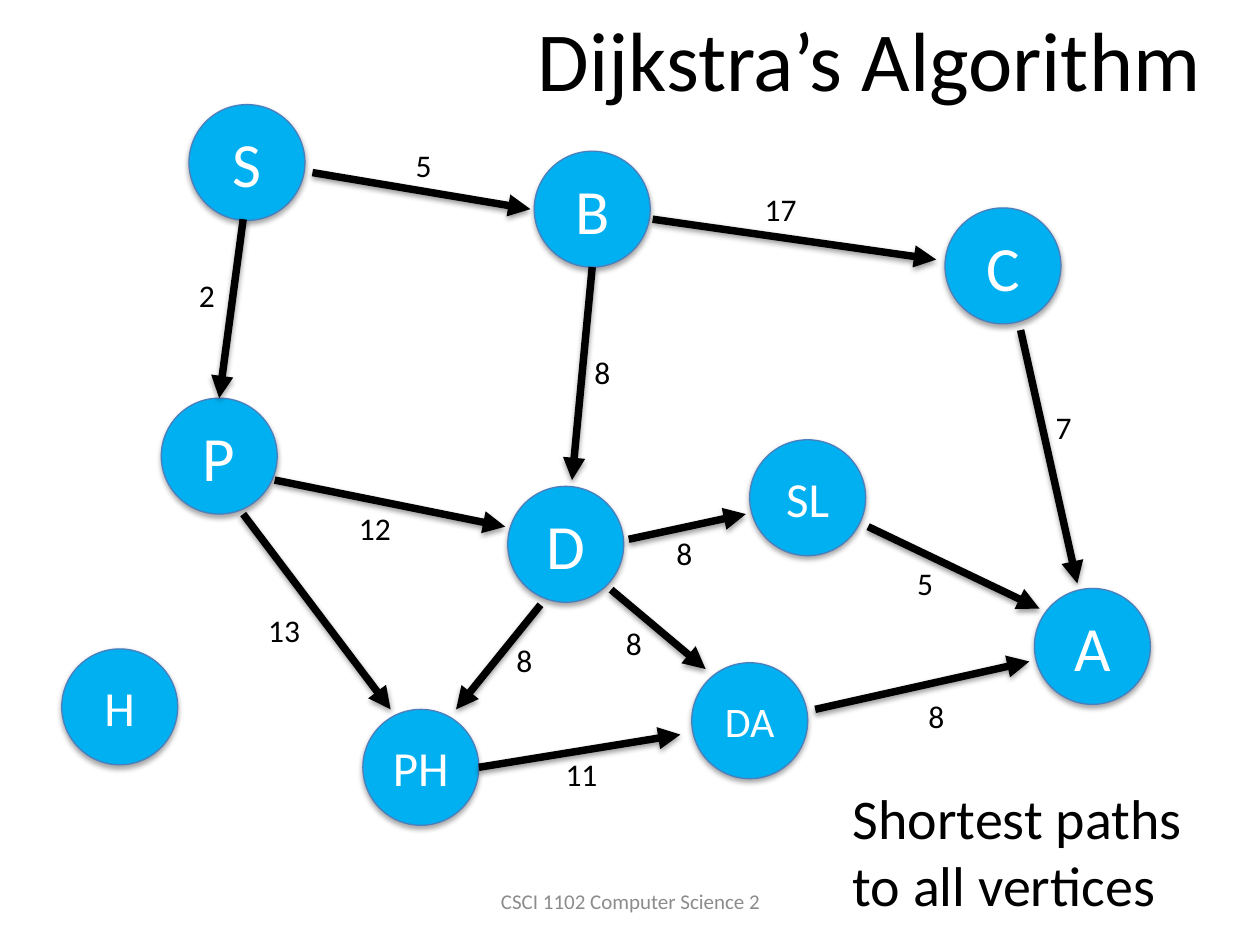
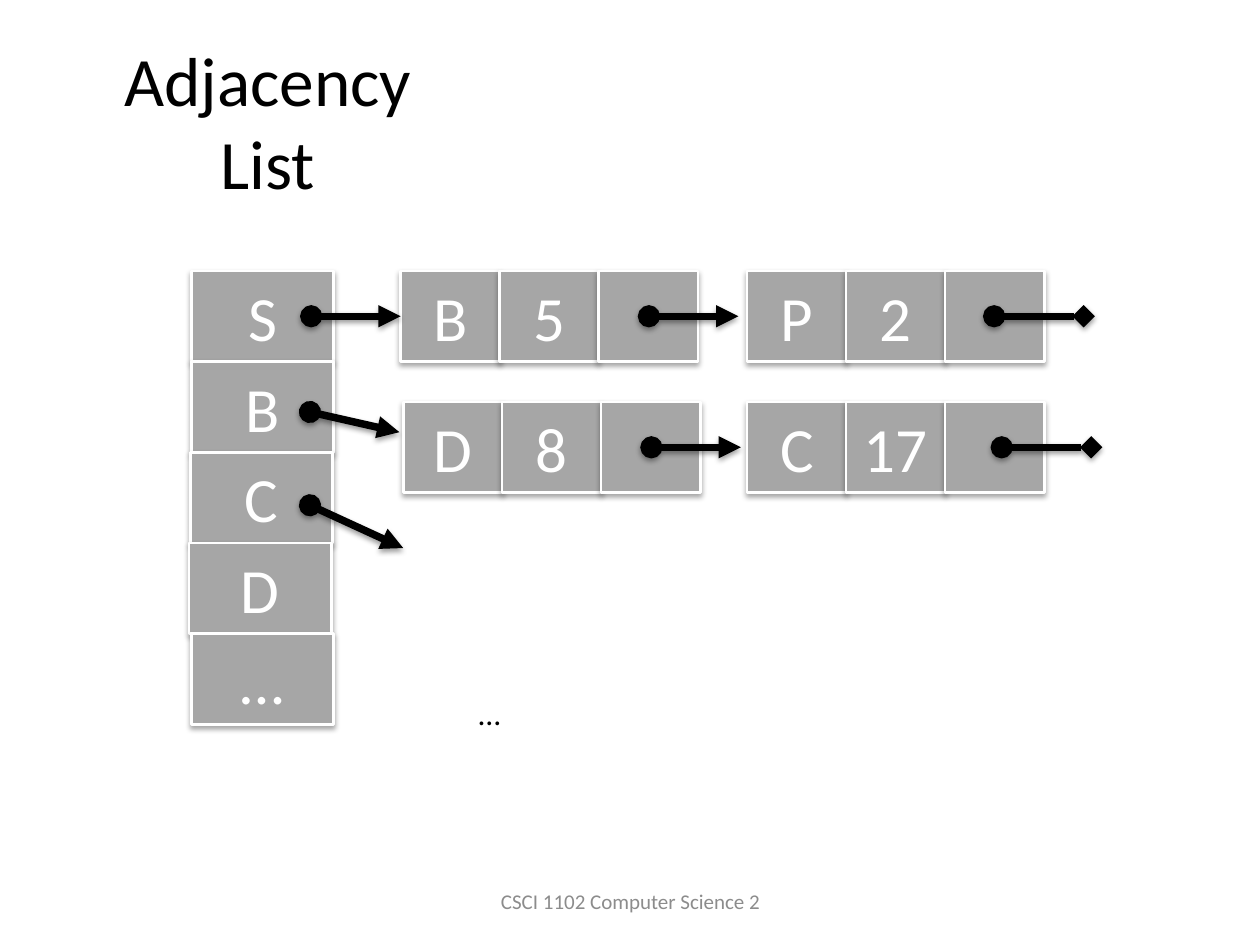
from lxml.etree import SubElement
from pptx import Presentation
from pptx.dml.color import RGBColor
from pptx.enum.shapes import MSO_CONNECTOR, MSO_SHAPE as Preset
from pptx.enum.text import MSO_ANCHOR as Anchor, MSO_AUTO_SIZE as AutoSize, PP_ALIGN as Align
from pptx.oxml.ns import qn
from pptx.util import Inches, Pt

FONT = "Calibri"
COLORS = {
    "ink": "000000",
    "footer": "8C8C8C",
    "white": "FFFFFF",
    "vertex": "00B0F0",
    "vertex_line": "4B7EBC",
    "cell": "A6A6A6",
}
FOOTER = "CSCI 1102 Computer Science 2"

# Graph: name -> left, top, text size
VERTEX_SIZE = 0.92
VERTICES = {
    "S": (1.5, 0.83, 36),
    "A": (8.21, 4.67, 36),
    "P": (1.28, 3.16, 36),
    "D": (4.03, 3.86, 36),
    "B": (4.24, 1.2, 36),
    "C": (7.5, 1.65, 36),
    "PH": (2.88, 5.63, 28),
    "H": (0.49, 5.15, 28),
    "SL": (5.95, 3.49, 28),
    "DA": (5.49, 5.26, 24),
}
# Edges: start, end, weight, left and top of the weight
EDGES = [
    ((1.93, 1.74), (1.74, 3.16), "2", (1.48, 2.14)),     # S to P
    ((2.48, 1.37), (4.21, 1.66), "5", (3.2, 1.11)),      # S to B
    ((5.18, 1.74), (7.43, 2.06), "17", (5.97, 1.46)),    # B to C
    ((4.7, 2.12), (4.54, 3.81), "8", (4.62, 2.75)),      # B to D
    ((8.1, 2.62), (8.55, 4.63), "7", (8.28, 3.19)),      # C to A
    ((2.18, 3.81), (4.01, 4.18), "12", (2.75, 3.99)),    # P to D
    ((1.93, 4.08), (3.1, 5.63), "13", (2.03, 4.8)),      # P to PH
    ((4.99, 4.28), (5.92, 4.08), "8", (5.27, 4.19)),     # D to SL
    ((4.29, 4.8), (3.62, 5.63), "8", (4, 5.04)),         # D to PH
    ((4.85, 4.68), (5.6, 5.31), "8", (4.87, 4.9)),       # D to DA
    ((6.89, 4.18), (8.25, 4.83), "5", (7.18, 4.43)),     # SL to A
    ((3.8, 6.09), (5.4, 5.83), "11", (4.39, 5.94)),      # PH to DA
    ((6.47, 5.63), (8.17, 5.25), "8", (7.27, 5.48)),     # DA to A
]

# Adjacency list: heads run down, each list entry holds a name, a weight and a pointer
CELL_HEIGHT = 0.72
HEAD_WIDTH, HEADS_TOP = 1.13, 2.15
HEADS = [("S", 1.52), ("B", 1.52), ("C", 1.51), ("D", 1.5), ("…", 1.52)]
HEAD_POINTERS = [
    ((2.47, 2.51), (3.18, 2.51)),
    ((2.46, 3.27), (3.17, 3.43)),
    ((2.46, 4.01), (3.2, 4.35)),
]
ENTRY_WIDTH, ENTRY_STEP = 0.79, 0.785
POINTER_LENGTH = 0.71
# Entries: left, top, name, weight, start of the pointer, its end mark
ENTRIES = [
    (3.18, 2.15, "B", "5", 5.15, "triangle"),
    (5.93, 2.15, "P", "2", 7.89, "diamond"),
    (3.2, 3.19, "D", "8", 5.17, "triangle"),
    (5.93, 3.19, "C", "17", 7.95, "diamond"),
]


def color(name):
    return RGBColor.from_string(COLORS[name])


def add_shadow(effects, distance, opacity):
    """Fill an effect list with a soft shadow that falls straight down."""
    shadow = SubElement(effects, qn("a:outerShdw"), blurRad="40000", dist=str(distance),
                        dir="5400000", rotWithShape="0")
    black = SubElement(shadow, qn("a:srgbClr"), val=COLORS["ink"])
    SubElement(black, qn("a:alpha"), val=str(opacity * 1000))


def write(frame, text, size, ink, align):
    frame.text = text
    for para in frame.paragraphs:
        para.alignment = align
        for span in para.runs:
            span.font.name = FONT
            span.font.size = Pt(size)
            span.font.color.rgb = color(ink)


def add_text(page, text, place, size, ink="ink", centered=False, wrap=True):
    frame = page.shapes.add_textbox(*map(Inches, place)).text_frame
    frame.word_wrap = wrap
    if centered:
        frame.vertical_anchor = Anchor.MIDDLE
    else:
        frame.auto_size = AutoSize.SHAPE_TO_FIT_TEXT
    write(frame, text, size, ink, Align.CENTER if centered else Align.LEFT)


def add_box(shapes, preset, place, text, fill, line, line_width, size=36):
    box = shapes.add_shape(preset, *map(Inches, place))
    box.fill.solid()
    box.fill.fore_color.rgb = color(fill)
    box.line.color.rgb = color(line)
    box.line.width = Pt(line_width)
    box.shadow.inherit = False
    add_shadow(box.element.spPr.find(qn("a:effectLst")), 23000, 35)
    box.text_frame.word_wrap = False
    box.text_frame.vertical_anchor = Anchor.MIDDLE
    if text:
        write(box.text_frame, text, size, "white", Align.CENTER)
    return box


def add_cell(shapes, left, top, width, text):
    return add_box(shapes, Preset.RECTANGLE, (left, top, width, CELL_HEIGHT),
                   text, "cell", "white", 1.5)


def add_arrow(shapes, start, end, tail="triangle", head=None):
    arrow = shapes.add_connector(MSO_CONNECTOR.STRAIGHT, *map(Inches, (*start, *end)))
    arrow.line.color.rgb = color("ink")
    arrow.line.width = Pt(4.25)
    properties = arrow.element.spPr
    line = properties.find(qn("a:ln"))
    if head:
        SubElement(line, qn("a:headEnd"), type=head)
    SubElement(line, qn("a:tailEnd"), type=tail)
    add_shadow(SubElement(properties, qn("a:effectLst")), 20000, 38)
    return arrow


def add_page(deck):
    page = deck.slides.add_slide(deck.slide_layouts[6])
    add_text(page, FOOTER, (3.42, 6.95, 3.17, 0.4), 12, "footer", centered=True)
    return page


def build_graph(deck):
    page = add_page(deck)
    for name, (left, top, size) in VERTICES.items():
        add_box(page.shapes, Preset.OVAL, (left, top, VERTEX_SIZE, VERTEX_SIZE),
                name, "vertex", "vertex_line", 0.75, size)
    for start, end, weight, corner in EDGES:
        add_arrow(page.shapes, start, end)
        width = 0.2 + 0.13 * len(weight)
        add_text(page, weight, (*corner, width, 0.4), 18, wrap=False)
    add_text(page, "Dijkstra’s Algorithm", (4.17, 0.01, 5.52, 0.91), 48, wrap=False)
    add_text(page, "Shortest paths to all vertices", (6.67, 6.17, 3.17, 1.18), 32)


def add_entry(page, left, top, name, weight, pointer_left, tail):
    """Draw one grouped list entry with its pointer and return its first cell."""
    group = page.shapes.add_group_shape()
    cells = [add_cell(group.shapes, left + i * ENTRY_STEP, top, ENTRY_WIDTH, text)
             for i, text in enumerate((name, weight, ""))]
    middle = top + CELL_HEIGHT / 2
    add_arrow(group.shapes, (pointer_left, middle),
              (pointer_left + POINTER_LENGTH, middle), tail, "oval")
    return cells[0]


def build_adjacency_list(deck):
    page = add_page(deck)
    add_text(page, "Adjacency\vList", (0.12, 0.33, 4.01, 1.25), 39.6, centered=True)
    for row, (name, left) in enumerate(HEADS):
        add_cell(page.shapes, left, HEADS_TOP + row * CELL_HEIGHT, HEAD_WIDTH, name)
    first_cells = [add_entry(page, *entry) for entry in ENTRIES]
    pointers = [add_arrow(page.shapes, start, end, head="oval")
                for start, end in HEAD_POINTERS]
    pointers[0].end_connect(first_cells[0], 1)
    add_text(page, "…", (3.7, 5.46, 0.38, 0.4), 18, wrap=False)


def main():
    deck = Presentation()
    deck.slide_width, deck.slide_height = Inches(10), Inches(7.5)
    build_graph(deck)
    build_adjacency_list(deck)
    deck.save("out.pptx")


if __name__ == "__main__":
    main()
